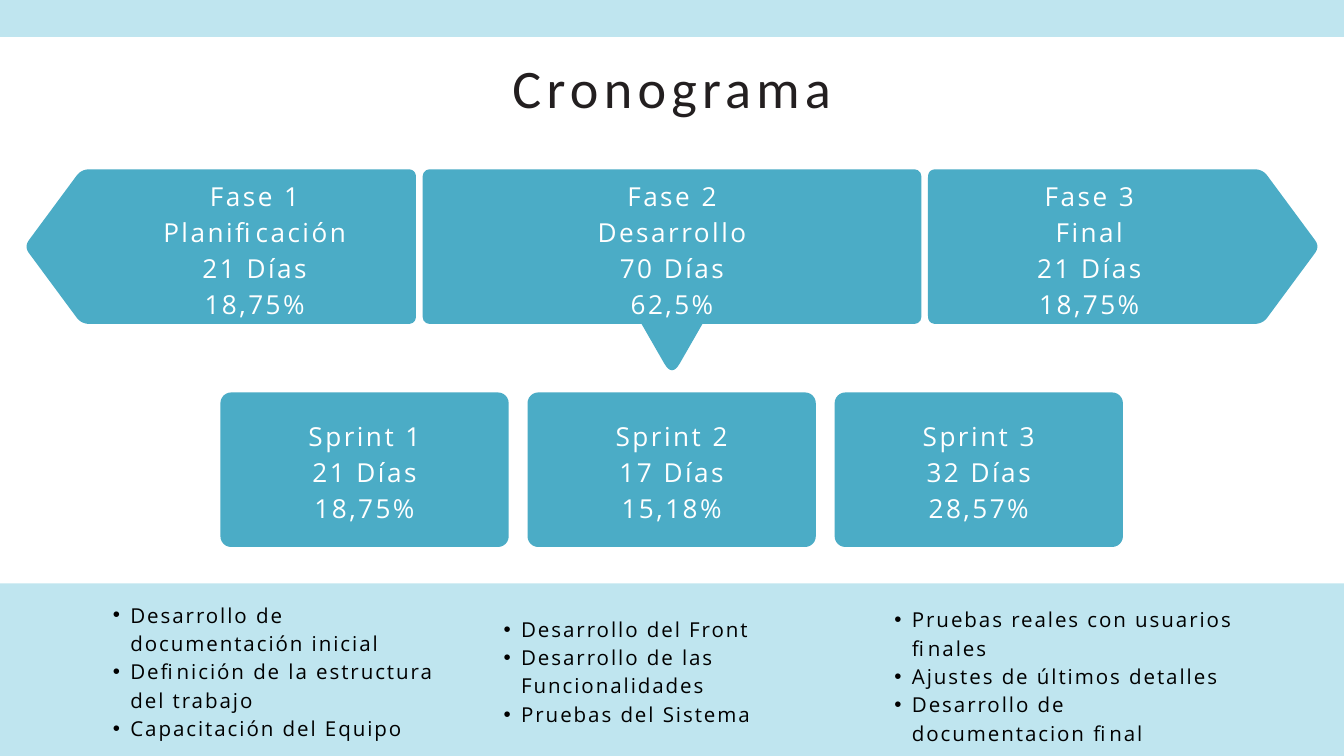
from dataclasses import dataclass
from lxml import etree
from pptx import Presentation
from pptx.dml.color import RGBColor
from pptx.enum import shapes, text
from pptx.oxml.ns import qn
from pptx.util import Inches, Pt


@dataclass(frozen=True)
class Style:
    font: str
    size: float
    color: str
    track: int
    line: float


@dataclass(frozen=True)
class Theme:
    pale: str = "BFE5EF"
    teal: str = "4BACC6"
    title: Style = Style("Calibri", 58.1, "231F20", 570, 80.2)
    card: Style = Style("Open Sans", 28, "FFFFFF", 270, 38.6)
    item: Style = Style("Open Sans", 22, "000000", 210, 30.4)


THEME = Theme()
WIDE, HIGH = 20, 11.25
MID = WIDE / 2
LABEL = 4.26

PHASES = [
    ["Fase 1", "Planificación", "21 Días", "18,75%"],
    ["Fase 2", "Desarrollo", "70 Días", "62,5%"],
    ["Fase 3", "Final", "21 Días", "18,75%"],
]
SPRINTS = [
    ["Sprint 1", "21 Días", "18,75%"],
    ["Sprint 2", "17 Días", "15,18%"],
    ["Sprint 3", "32 Días", "28,57%"],
]
TASKS = [
    ["Desarrollo de documentación inicial",
     "Definición de la estructura del trabajo",
     "Capacitación del Equipo"],
    ["Desarrollo del Front",
     "Desarrollo de las Funcionalidades",
     "Pruebas del Sistema"],
    ["Pruebas reales con usuarios finales",
     "Ajustes de últimos detalles",
     "Desarrollo de documentacion final"],
]


def paint(shape, color):
    shape.shadow.inherit = False
    shape.fill.solid()
    shape.fill.fore_color.rgb = RGBColor.from_string(color)
    shape.line.fill.background()


def bullet(para):
    para.level = 1
    props = para._p.get_or_add_pPr()
    props.set("marL", str(Inches(0.52)))
    props.set("indent", str(Inches(-0.26)))
    etree.SubElement(props, qn("a:buChar")).set("char", "•")


def write(shape, lines, style, align, marks=False):
    frame = shape.text_frame
    frame.word_wrap = True
    frame.auto_size = text.MSO_AUTO_SIZE.NONE
    frame.vertical_anchor = text.MSO_ANCHOR.TOP
    frame.margin_left = frame.margin_right = 0
    frame.margin_top = frame.margin_bottom = 0
    for num, line in enumerate(lines):
        para = frame.add_paragraph() if num else frame.paragraphs[0]
        if marks:
            bullet(para)
        para.alignment = align
        para.line_spacing = Pt(style.line)
        para.space_before = Pt(0)
        run = para.add_run()
        run.text = line
        font = run.font
        font.name, font.size, font.bold = style.font, Pt(style.size), False
        font.color.rgb = RGBColor.from_string(style.color)
        run._r.get_or_add_rPr().set("spc", str(style.track))


def place(shape, box):
    shape.left, shape.top, shape.width, shape.height = map(Inches, box)


def band(slide, box):
    shape = slide.shapes.add_shape(shapes.MSO_SHAPE.RECTANGLE, *map(Inches, box))
    paint(shape, THEME.pale)
    shape.element.getparent().insert(2, shape.element)


def card(slide, box, round_by):
    shape = slide.shapes.add_shape(
        shapes.MSO_SHAPE.ROUNDED_RECTANGLE, *map(Inches, box))
    shape.adjustments[0] = round_by / min(box[2:])
    paint(shape, THEME.teal)


def label(slide, center, top, lines, high):
    box = (center - LABEL / 2, top, LABEL, high)
    shape = slide.shapes.add_textbox(*map(Inches, box))
    write(shape, lines, THEME.card, text.PP_ALIGN.CENTER)


def toward(start, end, dist):
    dx, dy = end[0] - start[0], end[1] - start[1]
    part = dist / (dx * dx + dy * dy) ** 0.5
    return start[0] + dx * part, start[1] + dy * part


def soften(points, cut, steps=8):
    path = []
    for num, spot in enumerate(points):
        first = toward(spot, points[num - 1], cut)
        last = toward(spot, points[(num + 1) % len(points)], cut)
        for step in range(steps + 1):
            t = step / steps
            path.append(tuple(
                Inches((1 - t) ** 2 * a + 2 * t * (1 - t) * b + t * t * c)
                for a, b, c in zip(first, spot, last)))
    return path


def outline(slide, points, cut):
    path = soften(points, cut)
    pen = slide.shapes.build_freeform(*path[0])
    pen.add_line_segments(path[1:], close=True)
    paint(pen.convert_to_shape(), THEME.teal)


def arrow(slide, box, right):
    left, top, width, high = box
    neck, tip = 4.98, 5.83
    points = [(0, top), (neck, top), (tip, top + high / 2),
              (neck, top + high), (0, top + high)]
    edge, sign = (left, 1) if right else (left + width, -1)
    outline(slide, [(edge + sign * x, y) for x, y in points], 0.12)


def phases(slide, box):
    left, top, width, high = box
    side, gap = 5.79, 0.1
    arrow(slide, (left, top, side, high), False)
    arrow(slide, (left + width - side, top, side, high), True)
    inner = side + gap
    card(slide, (left + inner, top, width - 2 * inner, high), 0.1)
    base = top + high - 0.22
    outline(slide, [(MID - 0.58, base), (MID + 0.58, base), (MID, base + 1.01)], 0.23)
    for num, lines in enumerate(PHASES):
        label(slide, MID + (num - 1) * 6.21, top + 0.09, lines, 2.09)


def sprints(slide, box):
    left, top, width, high = box
    wide = 4.29
    step = (width - wide) / (len(SPRINTS) - 1)
    for num, lines in enumerate(SPRINTS):
        spot = left + num * step
        card(slide, (spot, top, wide, high), 0.16)
        label(slide, spot + wide / 2, top + 0.35, lines, 1.56)


def tasks(slide, box, holders):
    left, top, width, high = box
    wide = 5.4
    step = (width - wide) / (len(TASKS) - 1)
    drops = [(0, 2.07), (0.21, 1.65), (0.07, 2.07)]
    for num, (holder, lines, (drop, tall)) in enumerate(zip(holders, TASKS, drops)):
        place(holder, (left + num * step, top + drop, wide, tall))
        write(holder, lines, THEME.item, text.PP_ALIGN.LEFT, marks=True)


def heading(slide, box):
    place(slide.shapes.title, box)
    write(slide.shapes.title, ["Cronograma"], THEME.title, text.PP_ALIGN.CENTER)


def main():
    deck = Presentation()
    deck.slide_width, deck.slide_height = Inches(WIDE), Inches(HIGH)
    slide = deck.slides.add_slide(deck.slide_layouts.get_by_name("Comparison"))
    title, *holders = slide.placeholders
    spare = holders.pop().element
    spare.getparent().remove(spare)
    band(slide, (0, 0, WIDE, 0.55))
    band(slide, (0, 8.68, WIDE, 2.57))
    heading(slide, (6.95, 0.66, 6.1, 1.08))
    phases(slide, (0.4, 2.52, 19.2, 2.3))
    sprints(slide, (3.28, 5.84, 13.43, 2.3))
    tasks(slide, (1.42, 8.91, 17.03, 2.14), holders)
    deck.save("out.pptx")


if __name__ == "__main__":
    main()
